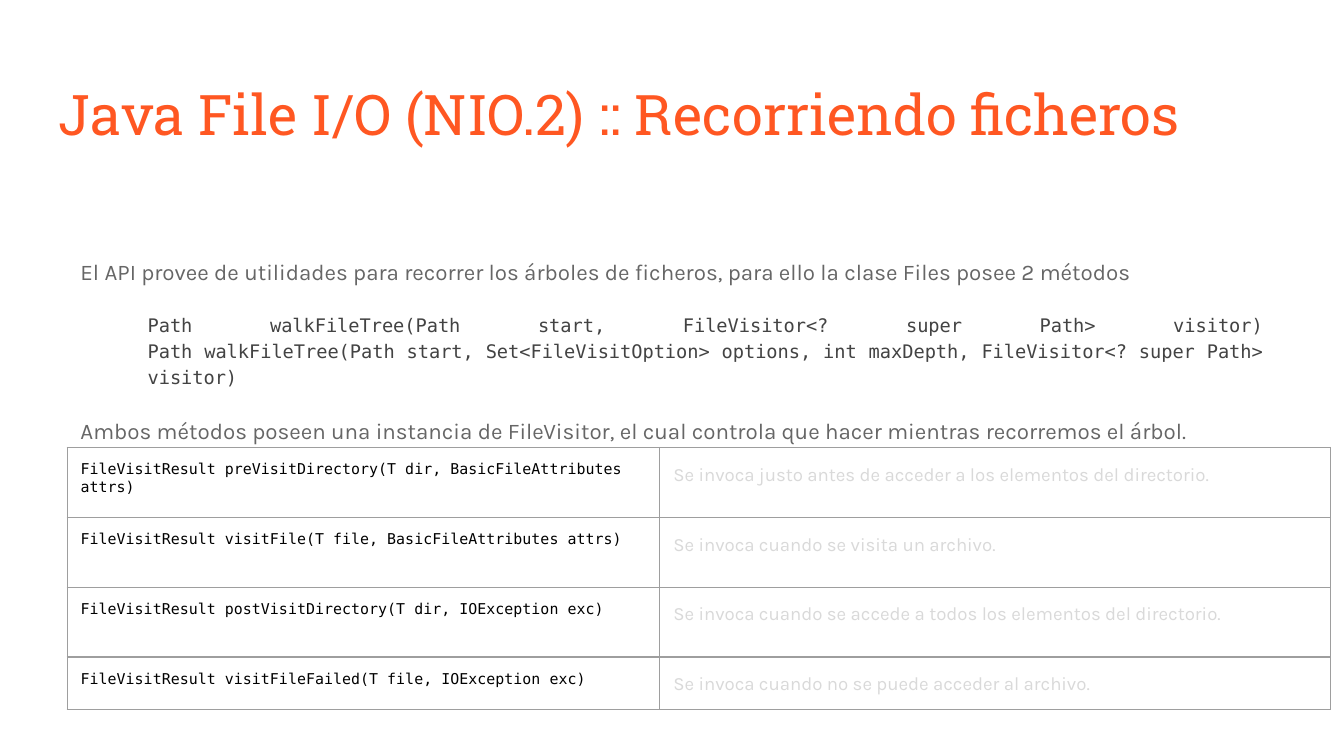
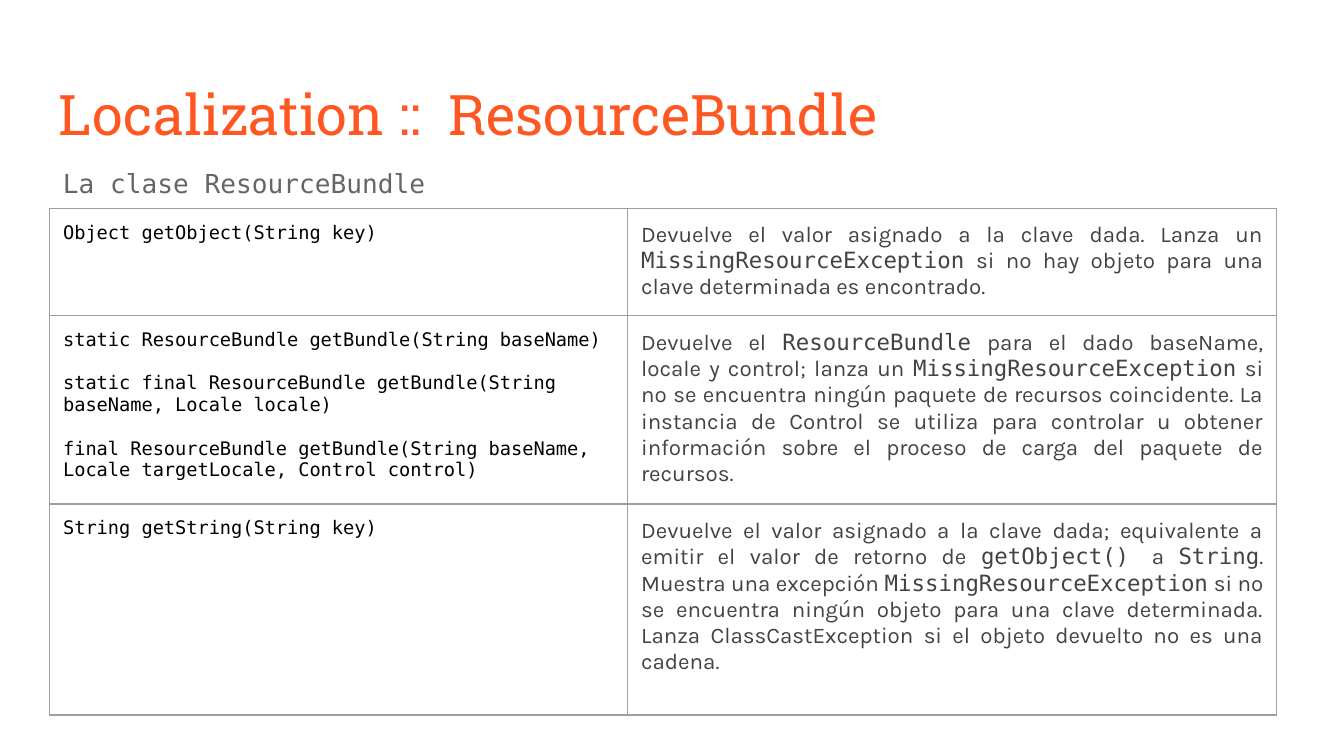
from lxml import etree
from pptx import Presentation, util as u
from pptx.dml.color import RGBColor
from pptx.enum import text
from pptx.oxml import ns

ORANGE = RGBColor(0xFF, 0x57, 0x22)
GRAY = RGBColor(0x66, 0x66, 0x66)
DARK = RGBColor(0x43, 0x43, 0x43)
PALE = RGBColor(0xD9, 0xD9, 0xD9)
BLACK = RGBColor(0, 0, 0)
BORDER = RGBColor(0x9E, 0x9E, 0x9E)
WHITE = RGBColor(0xFF, 0xFF, 0xFF)

SERIF, SANS, MONO = "Roboto Slab", "Karla", "DejaVu Sans Mono"
JUSTIFY = text.PP_ALIGN.JUSTIFY
PADDING = 0.1


def write(frame, content, size=12, font=SANS, color=GRAY, align=None,
          spacing=None, before=None, indent=0):
    paragraph = frame.paragraphs[0] if not frame.text else frame.add_paragraph()
    paragraph.alignment = align
    paragraph.line_spacing = spacing
    if before:
        paragraph.space_before = u.Pt(before)
    if indent:
        properties = paragraph._p.get_or_add_pPr()
        properties.set("marL", str(u.Inches(indent)))
        properties.set("indent", "0")
    for position, part in enumerate(content.split("`")):
        for number, line in enumerate(part.split("\n")):
            if number:
                paragraph.add_line_break()
            if line:
                run = paragraph.add_run()
                run.text = line
                run.font.name = MONO if position % 2 else font
                run.font.size = u.Pt(size)
                run.font.color.rgb = color


class Deck:
    def __init__(self):
        self.presentation = Presentation()
        self.presentation.slide_width = u.Inches(10)
        self.presentation.slide_height = u.Inches(10 * 9 / 16)
        self.slide = None

    def start(self, title):
        self.slide = self.presentation.slides.add_slide(self.presentation.slide_layouts[6])
        self.slide.background.fill.solid()
        self.slide.background.fill.fore_color.rgb = WHITE
        write(self.box(0.34, 0.49, 9.32, 0.63), title, size=30, font=SERIF, color=ORANGE)

    def box(self, left, top, width, height, top_padding=PADDING):
        frame = self.slide.shapes.add_textbox(
            u.Inches(left), u.Inches(top), u.Inches(width), u.Inches(height)).text_frame
        frame.word_wrap = True
        frame.margin_left = frame.margin_right = frame.margin_bottom = u.Inches(PADDING)
        frame.margin_top = u.Inches(top_padding)
        return frame

    def table(self, left, top, widths, heights, rows, signature, description):
        table = self.slide.shapes.add_table(
            len(heights), len(widths), u.Inches(left), u.Inches(top),
            u.Inches(sum(widths)), u.Inches(sum(heights))).table
        table.first_row = table.horz_banding = False
        for column, width in zip(table.columns, widths):
            column.width = u.Inches(width)
        for row, height, (signatures, explanation) in zip(table.rows, heights, rows):
            row.height = u.Inches(height)
            for cell in row.cells:
                self.style_cell(cell)
            for number, method in enumerate(signatures):
                write(row.cells[0].text_frame, method, font=MONO, color=BLACK,
                      before=11.6 if number else None, **signature)
            write(row.cells[1].text_frame, explanation, **description)

    def style_cell(self, cell):
        cell.margin_left = cell.margin_right = u.Inches(PADDING)
        cell.margin_top = cell.margin_bottom = u.Inches(PADDING)
        cell.fill.background()
        properties = cell._tc.get_or_add_tcPr()
        for place, side in enumerate(("lnL", "lnR", "lnT", "lnB")):
            line = etree.Element(ns.qn(f"a:{side}"), w=str(u.Pt(0.75)))
            fill = etree.SubElement(line, ns.qn("a:solidFill"))
            etree.SubElement(fill, ns.qn("a:srgbClr"), val=str(BORDER))
            properties.insert(place, line)


def add_file_walk(deck):
    deck.start("Java File I/O (NIO.2) :: Recorriendo ficheros")
    body = deck.box(0.5, 1.52, 8.99, 3.5, top_padding=0.37)
    prose = dict(align=JUSTIFY, spacing=1.15)
    write(body, "El API provee de utilidades para recorrer los árboles de ficheros, "
          "para ello la clase Files posee 2 métodos", **prose)
    write(body, "Path walkFileTree(Path start, FileVisitor<? super Path> visitor)\n"
          "Path walkFileTree(Path start, Set<FileVisitOption> options, int maxDepth, "
          "FileVisitor<? super Path> visitor)",
          size=10, font=MONO, color=DARK, before=13.8, indent=0.5, **prose)
    write(body, "Ambos métodos poseen una instancia de FileVisitor, el cual controla "
          "que hacer mientras recorremos el árbol.", before=13.6, **prose)
    visits = [
        (["FileVisitResult preVisitDirectory(T dir, BasicFileAttributes attrs)"],
         "Se invoca justo antes de acceder a los elementos del directorio."),
        (["FileVisitResult visitFile(T file, BasicFileAttributes attrs)"],
         "Se invoca cuando se visita un archivo."),
        (["FileVisitResult postVisitDirectory(T dir, IOException exc)"],
         "Se invoca cuando se accede a todos los elementos del directorio."),
        (["FileVisitResult visitFileFailed(T file, IOException exc)"],
         "Se invoca cuando no se puede acceder al archivo."),
    ]
    deck.table(0.5, 3.33, [4.41, 4.99], [0.52] * 3 + [0.36], visits,
               signature=dict(size=8),
               description=dict(size=10, color=PALE, spacing=1.15))


def add_resource_bundle(deck):
    deck.start("Localization ::  ResourceBundle")
    write(deck.box(0.37, 1.11, 9.13, 3.91), "La clase ResourceBundle",
          size=14, font=MONO, spacing=1.15)
    methods = [
        (["Object getObject(String key)"],
         "Devuelve el valor asignado a la clave dada. Lanza un `MissingResourceException` "
         "si no hay objeto para una clave determinada es encontrado."),
        (["static ResourceBundle getBundle(String baseName)",
          "static final ResourceBundle getBundle(String baseName, Locale locale)",
          "final ResourceBundle getBundle(String baseName,\n"
          "Locale targetLocale, Control control)"],
         "Devuelve el `ResourceBundle` para el dado baseName, locale y control; lanza un "
         "`MissingResourceException` si no se encuentra ningún paquete de recursos "
         "coincidente. La instancia de Control se utiliza para controlar u obtener "
         "información sobre el proceso de carga del paquete de recursos."),
        (["String getString(String key)"],
         "Devuelve el valor asignado a la clave dada; equivalente a emitir el valor de "
         "retorno de `getObject() `a `String`. Muestra una excepción "
         "`MissingResourceException` si no se encuentra ningún objeto para una clave "
         "determinada. Lanza ClassCastException si el objeto devuelto no es una cadena."),
    ]
    deck.table(0.37, 1.55, [4.3, 4.83], [0.26, 0.26, 1.57], methods,
               signature=dict(size=10),
               description=dict(color=DARK, align=JUSTIFY))


def main():
    deck = Deck()
    add_file_walk(deck)
    add_resource_bundle(deck)
    deck.presentation.save("out.pptx")


if __name__ == "__main__":
    main()
